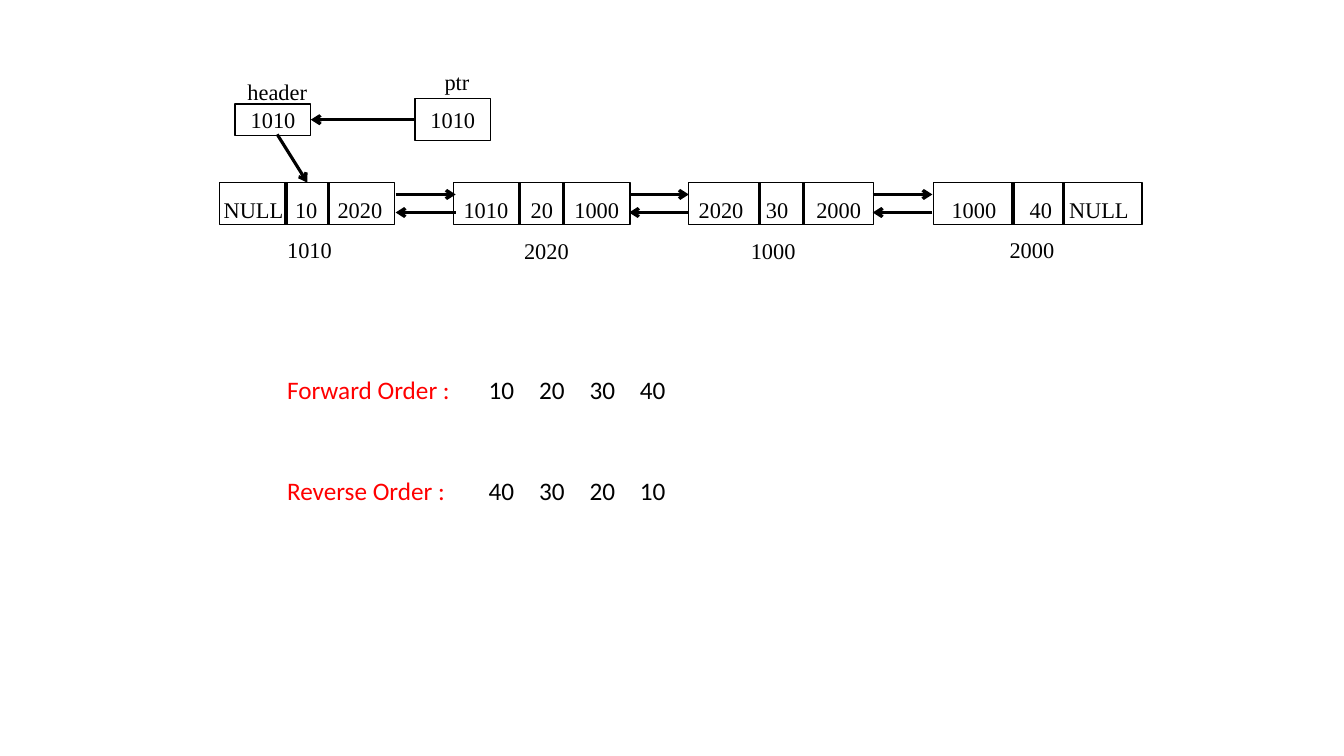
import pptx
import pptx.util
import pptx.dml.color
import pptx.enum.shapes
import pptx.enum.text
import pptx.oxml.ns
import lxml.etree

COLORS = {"ink": "000000", "paper": "FFFFFF", "title": "FF0000"}
COLS, ROWS = 160, 90
NODE_TOP, NODE_HEIGHT = 21.75, 5
FORWARD_ROW, BACK_ROW = 23.15, 25.3
TEXT_HEIGHT = 4.45
WIDTHS = {"NULL": 9.85, 2: 5.15, 4: 7.8}

NODES = [
    (26.15, 20.85, (34.05, 39.1), ("NULL", "10", "2020"), (25.45, 33.95, 39), "1010", 33, 27.5),
    (54, 21, (61.9, 67.1), ("1010", "20", "1000"), (54, 62, 67.2), "2020", 61.2, 27.6),
    (82, 22, (90.4, 95.65), ("2020", "30", "2000"), (82, 90, 96), "1000", 88.2, 27.6),
    (111.1, 24.85, (120.6, 126.6), ("1000", "40", "NULL"), (112.1, 121.4, 126.1), "2000", 119, 27.5),
]
LINKS = [(47.1, 54.25), (74.9, 82), (103.9, 111)]
ORDERS = [("Forward Order :", "\t10\t20\t30\t40", 44), ("Reverse Order :", "\t40\t30\t20\t10", 56)]


class Canvas:
    """Draws styled elements on one slide, measured in grid columns and rows."""

    def __init__(self, prs):
        self.cell_w = prs.slide_width / COLS
        self.cell_h = prs.slide_height / ROWS
        self.s = prs.slides.add_slide(prs.slide_layouts[6])

    def place(self, x, y, w, h):
        return [int(x * self.cell_w), int(y * self.cell_h), int(w * self.cell_w), int(h * self.cell_h)]

    def color(self, name):
        return pptx.dml.color.RGBColor.from_string(COLORS[name])

    def style(self, r, size=16, font="Times New Roman", color="ink"):
        r.font.size = pptx.util.Pt(size)
        r.font.name = font
        r.font.color.rgb = self.color(color)

    def box(self, x, y, w, h, text="", line="ink"):
        sp = self.s.shapes.add_shape(pptx.enum.shapes.MSO_SHAPE.RECTANGLE, *self.place(x, y, w, h))
        sp.shadow.inherit = False
        sp.fill.solid()
        sp.fill.fore_color.rgb = self.color("paper")
        sp.line.color.rgb = self.color(line)
        sp.line.width = pptx.util.Pt(1)
        if text:
            tf = sp.text_frame
            tf.text = text
            tf.vertical_anchor = pptx.enum.text.MSO_ANCHOR.MIDDLE
            tf.paragraphs[0].alignment = pptx.enum.text.PP_ALIGN.CENTER
            self.style(tf.paragraphs[0].runs[0])
        return sp

    def frame(self, x, y, w, h):
        tf = self.s.shapes.add_textbox(*self.place(x, y, w, h)).text_frame
        tf.word_wrap = False
        tf.auto_size = pptx.enum.text.MSO_AUTO_SIZE.SHAPE_TO_FIT_TEXT
        return tf

    def label(self, x, y, text):
        tf = self.frame(x, y, WIDTHS.get(text, WIDTHS.get(len(text))), TEXT_HEIGHT)
        tf.text = text
        self.style(tf.paragraphs[0].runs[0])

    def order(self, title, values, y):
        p = self.frame(33, y, 66.1, 4.8).paragraphs[0]
        for text, color in ((title, "title"), (values, "ink")):
            r = p.add_run()
            r.text = text
            self.style(r, 18, "Calibri", color)

    def line(self, x1, y1, x2, y2, arrow=False):
        kind = pptx.enum.shapes.MSO_CONNECTOR.STRAIGHT
        c = self.s.shapes.add_connector(kind, *self.place(x1, y1, x2, y2))
        c.line.color.rgb = self.color("ink")
        c.line.width = pptx.util.Pt(2.25)
        qn = pptx.oxml.ns.qn
        if arrow:
            lxml.etree.SubElement(c.line._get_or_add_ln(), qn("a:tailEnd"), type="arrow")
        lxml.etree.SubElement(c._element.spPr, qn("a:effectLst"))
        return c

    def node(self, x, w, dividers, values, value_lefts, address, address_left, address_top):
        self.box(x, NODE_TOP, w, NODE_HEIGHT)
        for divider in dividers:
            self.line(divider, NODE_TOP, divider, NODE_TOP + NODE_HEIGHT)
        for value, left in zip(values, value_lefts):
            self.label(left, 22.8, value)
        self.label(address_left, address_top, address)


def main():
    prs = pptx.Presentation()
    prs.slide_width = pptx.util.Inches(13.33)
    prs.slide_height = pptx.util.Inches(7.5)
    canvas = Canvas(prs)

    for node in NODES:
        canvas.node(*node)
    for left, right in LINKS:
        canvas.line(left, FORWARD_ROW, right, FORWARD_ROW, arrow=True)
        canvas.line(right, BACK_ROW, left, BACK_ROW, arrow=True)

    canvas.box(26, 8.8, 14, 4.3, "header", line="paper")
    header = canvas.box(28, 12.4, 9, 3.7, "1010")
    canvas.line(33, 16, 36.6, NODE_TOP, arrow=True)
    canvas.box(47.4, 6.75, 14, 6, "ptr", line="paper")
    ptr = canvas.box(49.4, 11.75, 9, 5, "1010")
    pointer = canvas.line(49.4, 14.25, 37, 14.25, arrow=True)
    pointer.begin_connect(ptr, 1)
    pointer.end_connect(header, 3)

    for order in ORDERS:
        canvas.order(*order)
    prs.save("out.pptx")


if __name__ == "__main__":
    main()
